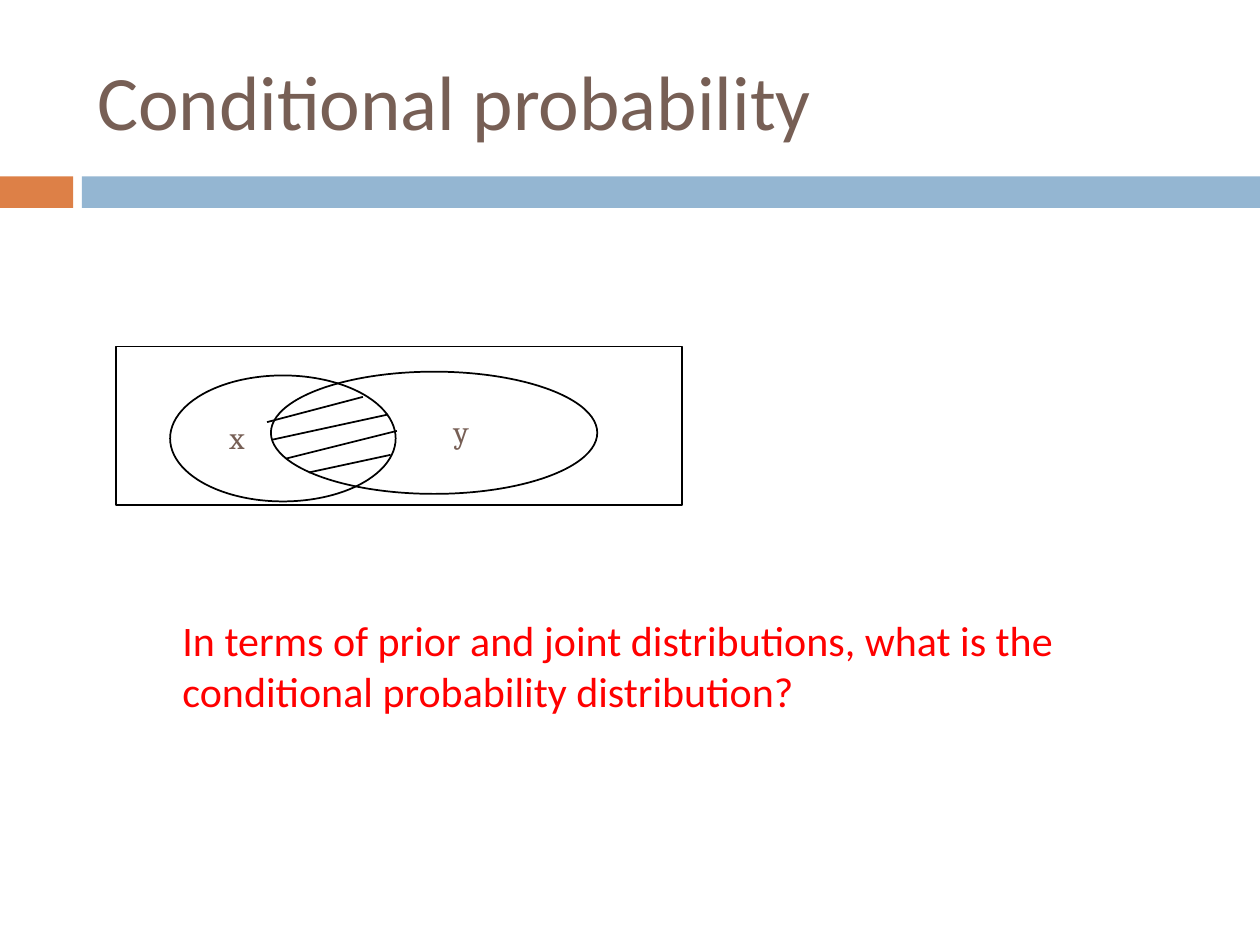
from lxml import etree
from pptx import Presentation
from pptx.dml.color import RGBColor
from pptx.enum.shapes import MSO_CONNECTOR, MSO_SHAPE
from pptx.enum.text import MSO_ANCHOR, MSO_AUTO_SIZE, PP_ALIGN
from pptx.oxml.ns import qn
from pptx.util import Inches, Pt

RECTANGLE, OVAL = MSO_SHAPE.RECTANGLE, MSO_SHAPE.OVAL
STRAIGHT = MSO_CONNECTOR.STRAIGHT
MIDDLE, LEFT = MSO_ANCHOR.MIDDLE, PP_ALIGN.LEFT
FIT_SHAPE, FIT_NONE = MSO_AUTO_SIZE.SHAPE_TO_FIT_TEXT, MSO_AUTO_SIZE.NONE

THEME = {
    "title": ("Calibri", 44, "775F55"),
    "label": ("Cambria", 18, "775F55"),
    "question": ("Calibri", 24, "FF0000"),
    "outline": "000000",
    "accent": "DD8047",
    "band": "94B6D2",
}

TITLE = "Conditional probability"
TITLE_BOX = (0.67, 0.25, 8.92, 1.08)
QUESTION = ("In terms of prior and joint distributions, what is the "
            "conditional probability distribution?")
QUESTION_BOX = (1.35, 4.83, 7.33, 0.91)

BARS = [("accent", (0, 1.4, 0.58, 0.25)), ("band", (0.65, 1.4, 9.35, 0.25))]
VENN_OUTLINES = [
    (RECTANGLE, (0.92, 2.75, 4.49, 1.26)),
    (OVAL, (1.35, 2.98, 1.79, 1)),
    (OVAL, (2.15, 2.95, 2.59, 0.97)),
]
SET_LABELS = [("x", (1.75, 3.32, 0.28, 0.34)), ("y", (3.53, 3.27, 0.28, 0.34))]
INTERSECTION_HATCH = [
    (2.88, 3.15, 2.12, 3.35),
    (3.08, 3.29, 2.16, 3.49),
    (3.15, 3.42, 2.27, 3.64),
    (3.1, 3.61, 2.45, 3.75),
]


def inches(values):
    return [Inches(value) for value in values]


def color(name):
    return RGBColor.from_string(THEME[name])


def write(frame, text, style):
    name, size, rgb = THEME[style]
    frame.text = text
    paragraph = frame.paragraphs[0]
    paragraph.alignment = LEFT
    paragraph.font.name = name
    paragraph.font.size = Pt(size)
    paragraph.font.color.rgb = RGBColor.from_string(rgb)
    return paragraph


def draw_outline(line):
    line.color.rgb = color("outline")
    line.width = Pt(1)


def add_bar(slide, fill, box):
    shape = slide.shapes.add_shape(RECTANGLE, *inches(box))
    shape.shadow.inherit = False
    shape.fill.solid()
    shape.fill.fore_color.rgb = color(fill)
    shape.line.fill.background()


def add_venn_outline(slide, kind, box):
    shape = slide.shapes.add_shape(kind, *inches(box))
    shape.shadow.inherit = False
    shape.fill.background()
    draw_outline(shape.line)


def add_set_label(slide, text, box):
    frame = slide.shapes.add_textbox(*inches(box)).text_frame
    frame.word_wrap = False
    frame.auto_size = FIT_SHAPE
    frame.margin_left = frame.margin_right = Inches(0.07)
    frame.margin_top = frame.margin_bottom = Inches(0.03)
    write(frame, text, "label").line_spacing = 0.92


def add_hatch_line(slide, ends):
    connector = slide.shapes.add_connector(STRAIGHT, *inches(ends))
    draw_outline(connector.line)
    properties = connector._element.find(qn("p:spPr"))
    etree.SubElement(properties, qn("a:effectLst"))


def main():
    presentation = Presentation()
    presentation.slide_width, presentation.slide_height = inches((10, 7.5))
    slide = presentation.slides.add_slide(presentation.slide_layouts[5])

    for fill, box in BARS:
        add_bar(slide, fill, box)

    title = slide.shapes.title
    title.left, title.top, title.width, title.height = inches(TITLE_BOX)
    title.text_frame.vertical_anchor = MIDDLE
    title.text_frame.auto_size = FIT_NONE
    write(title.text_frame, TITLE, "title")

    for kind, box in VENN_OUTLINES:
        add_venn_outline(slide, kind, box)
    for text, box in SET_LABELS:
        add_set_label(slide, text, box)
    for ends in INTERSECTION_HATCH:
        add_hatch_line(slide, ends)

    question = slide.shapes.add_textbox(*inches(QUESTION_BOX)).text_frame
    question.word_wrap = True
    question.auto_size = FIT_SHAPE
    write(question, QUESTION, "question")

    presentation.save("out.pptx")


if __name__ == "__main__":
    main()
